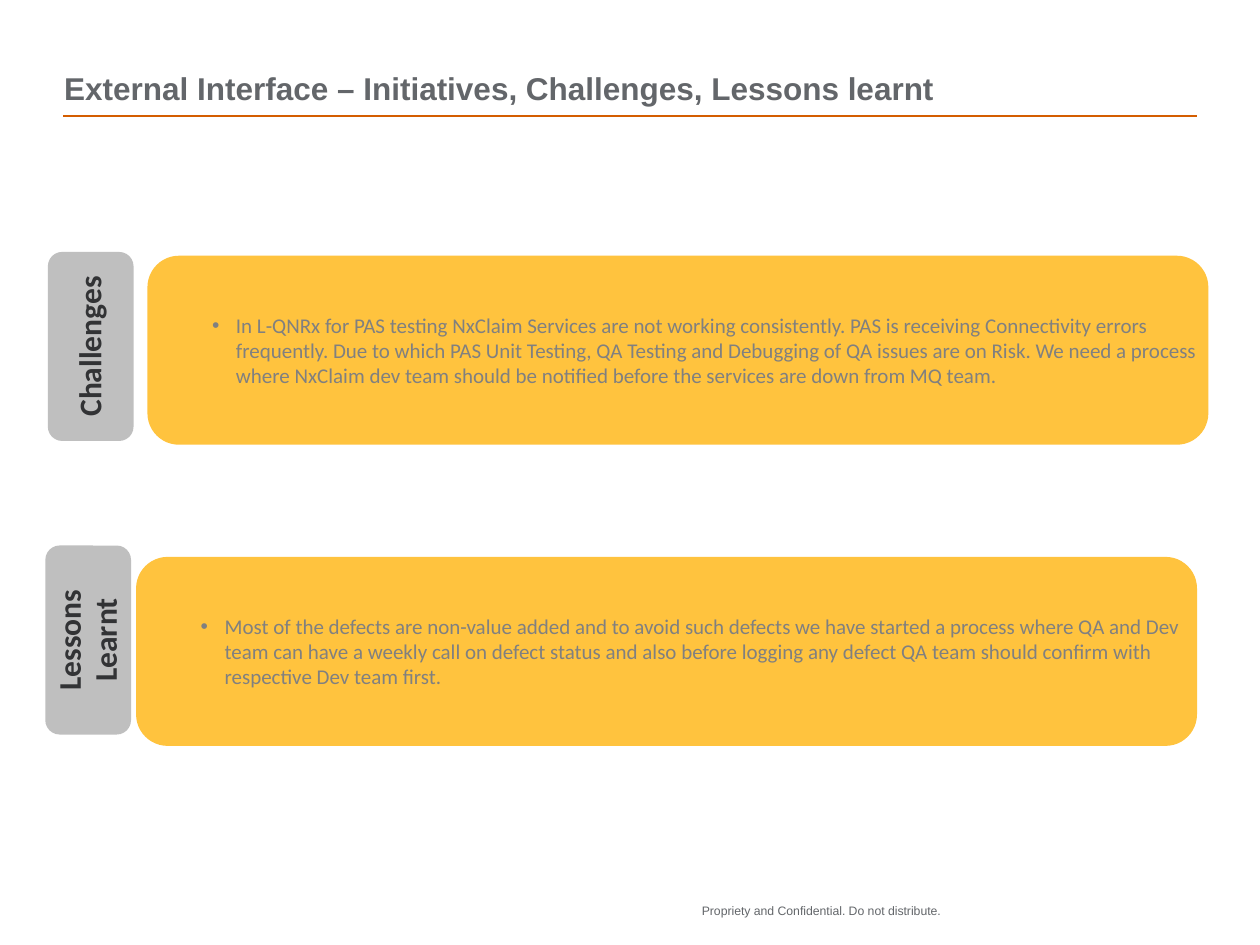
from dataclasses import dataclass

from lxml.etree import SubElement
from pptx import Presentation
from pptx.dml.color import RGBColor
from pptx.enum.shapes import MSO_CONNECTOR, MSO_SHAPE
from pptx.enum.text import MSO_ANCHOR, PP_ALIGN
from pptx.oxml.ns import qn
from pptx.util import Inches, Pt

GREY, ORANGE = "63666A", "D45D00"
SILVER, AMBER = "BFBFBF", "FFC33E"
HIGH = 1.5  # height of tabs and panels


@dataclass
class Style:
    font: str
    size: float
    tint: str
    bold: bool = False


@dataclass
class Topic:
    label: str
    body: str
    tab: tuple[float, float]
    panel: tuple[float, float]


HEAD = Style("Arial", 18, GREY, True)
FOOT = Style("Arial", 7, GREY)
TAB = Style("Calibri", 18, "323335", True)
BODY = Style("Calibri", 12, "808080")

TOPICS = [
    Topic(
        "Challenges",
        "In L-QNRx for PAS testing NxClaim Services are not working consistently. "
        "PAS is receiving Connectivity errors frequently. Due to which PAS Unit "
        "Testing, QA Testing and Debugging of QA issues are on Risk. We need a "
        "process where NxClaim dev team should be notified before the services "
        "are down from MQ team.",
        (0.38, 2), (1.17, 2.03)),
    Topic(
        "Lessons Learnt",
        "Most of the defects are non-value added and to avoid such defects we have "
        "started a process where QA and Dev team can have a weekly call on defect "
        "status and also before logging any defect QA team should confirm with "
        "respective Dev team first.",
        (0.36, 4.33), (1.08, 4.42)),
]


def paint(color, code: str) -> None:
    color.rgb = RGBColor.from_string(code)


def bullet(para) -> None:
    """Give the paragraph a hanging bullet."""
    props = para._p.get_or_add_pPr()
    props.set("marL", str(Inches(0.63)))
    props.set("indent", str(Inches(-0.19)))
    SubElement(props, qn("a:buFont")).set("typeface", "Arial")
    SubElement(props, qn("a:buChar")).set("char", "•")


def write(shape, text: str, style: Style, anchor=MSO_ANCHOR.TOP,
          align=PP_ALIGN.LEFT, wrap: bool = True):
    """Fill a shape with one paragraph and return that paragraph."""
    frame = shape.text_frame
    form = dict(margin_left=0, margin_top=0, margin_right=0, margin_bottom=0,
                vertical_anchor=anchor, word_wrap=wrap)
    for key, value in form.items():
        setattr(frame, key, value)
    para = frame.paragraphs[0]
    para.alignment = align
    run = para.add_run()
    run.text = text
    form = dict(name=style.font, size=Pt(style.size), bold=style.bold)
    for key, value in form.items():
        setattr(run.font, key, value)
    paint(run.font.color, style.tint)
    return para


def card(slide, spot: tuple[float, float], wide: float, fill: str):
    """Draw a rounded block without outline or shadow."""
    shape = slide.shapes.add_shape(
        MSO_SHAPE.FLOWCHART_ALTERNATE_PROCESS,
        Inches(spot[0]), Inches(spot[1]), Inches(wide), Inches(HIGH))
    shape.shadow.inherit = False
    shape.fill.solid()
    paint(shape.fill.fore_color, fill)
    shape.line.fill.background()
    return shape


def draw(slide, topic: Topic) -> None:
    # Upright tab
    tab = card(slide, topic.tab, 0.68, SILVER)
    para = write(tab, topic.label, TAB, MSO_ANCHOR.MIDDLE, PP_ALIGN.CENTER)
    para.line_spacing = 0.95
    tab.text_frame._txBody.bodyPr.set("vert", "vert270")
    # Panel with bullet
    panel = card(slide, topic.panel, 8.42, AMBER)
    bullet(write(panel, topic.body, BODY, MSO_ANCHOR.MIDDLE))


def main() -> None:
    deck = Presentation()
    deck.slide_width, deck.slide_height = Inches(10), Inches(7.5)
    slide = deck.slides.add_slide(deck.slide_layouts[6])
    shapes = slide.shapes

    # Rule under the title
    rule = shapes.add_connector(MSO_CONNECTOR.STRAIGHT, Inches(0.5),
                                Inches(0.92), Inches(9.5), Inches(0.92))
    paint(rule.line.color, ORANGE)
    rule.line.width = Pt(1)
    SubElement(rule._element.spPr, qn("a:effectLst"))

    # Footer and title
    foot = shapes.add_textbox(Inches(5.57), Inches(7.17), Inches(2.08), Inches(0.25))
    write(foot, "Propriety and Confidential. Do not distribute.", FOOT, wrap=False)
    head = shapes.add_textbox(Inches(0.51), Inches(0.52), Inches(7.49), Inches(0.33))
    write(head, "External Interface – Initiatives, Challenges, Lessons learnt",
          HEAD, MSO_ANCHOR.BOTTOM)

    # Topics
    for topic in TOPICS:
        draw(slide, topic)

    deck.save("out.pptx")


if __name__ == "__main__":
    main()
